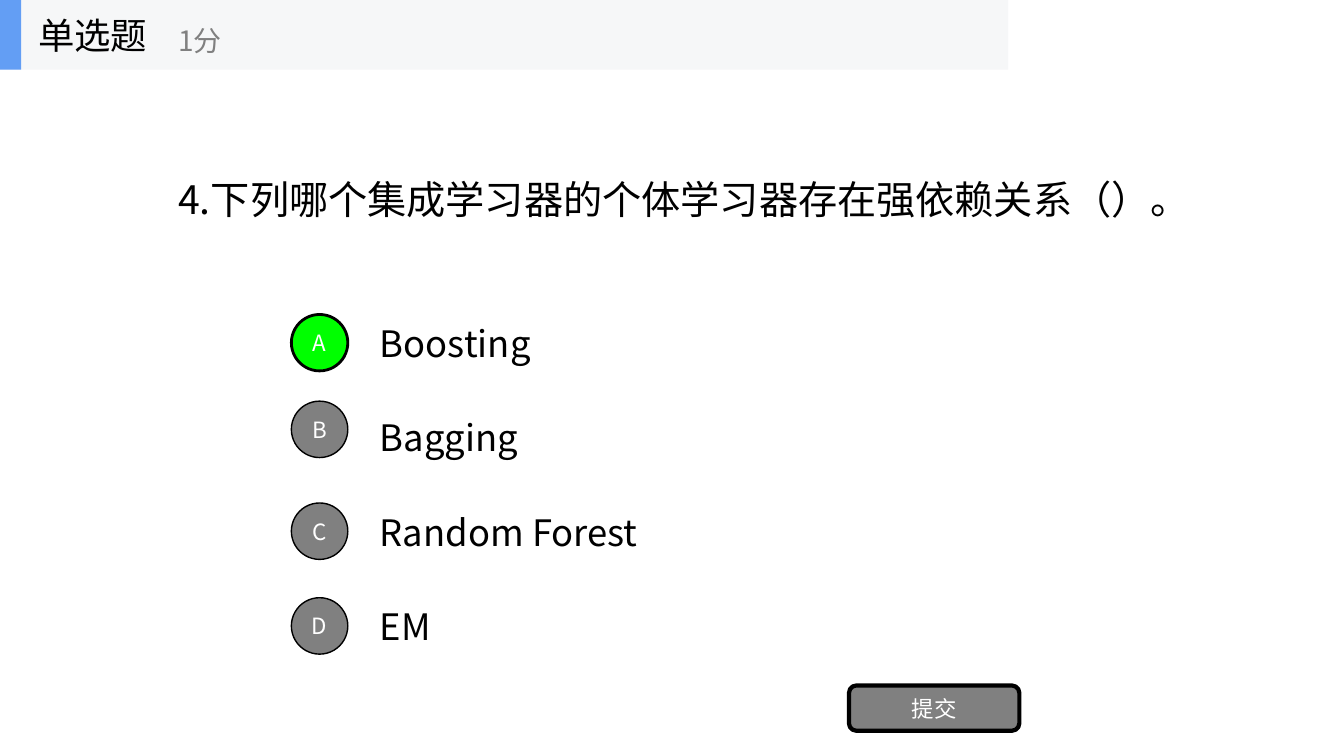
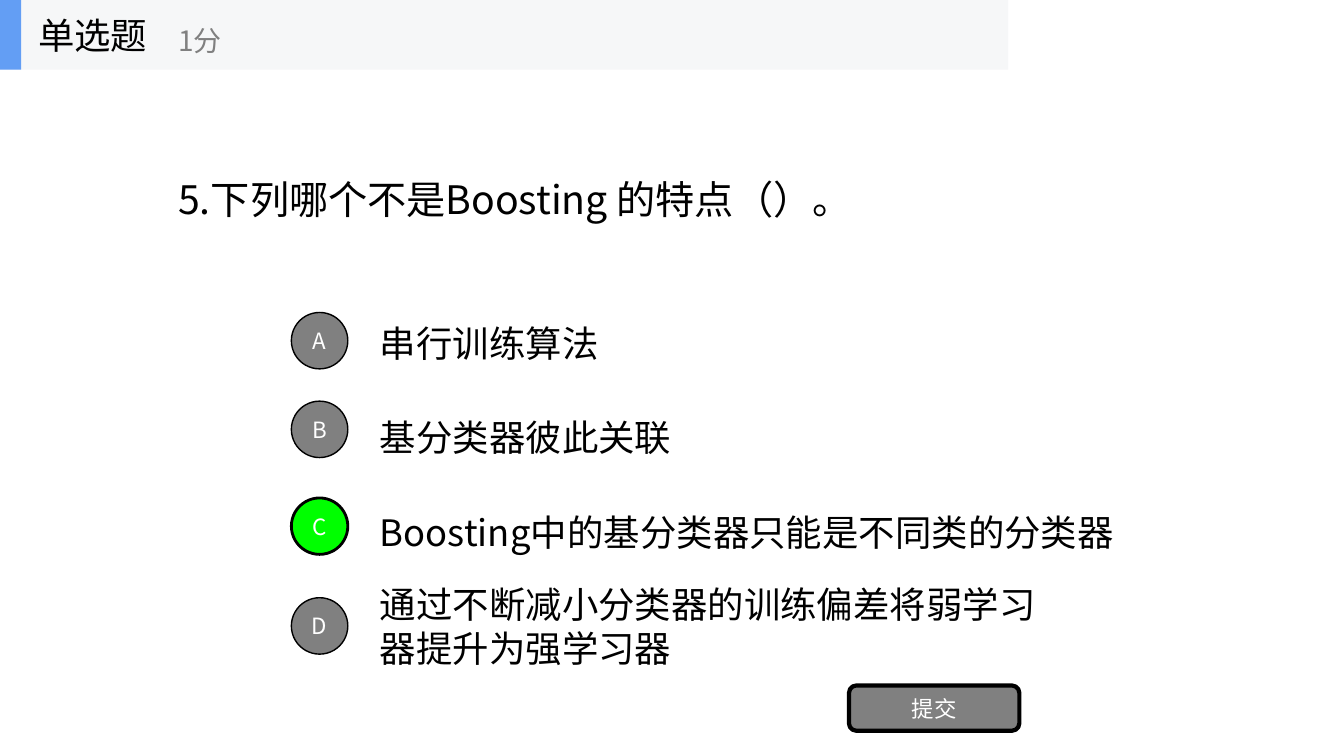
import pptx
import pptx.util
import pptx.dml.color
import pptx.enum.shapes
import pptx.enum.text
import pptx.oxml.ns
import lxml.etree

Inches = pptx.util.Inches
Pt = pptx.util.Pt
MSO_SHAPE = pptx.enum.shapes.MSO_SHAPE
PP_ALIGN = pptx.enum.text.PP_ALIGN

FONT = "Noto Sans CJK SC"
BLACK, WHITE, GREY, GREEN = "000000", "FFFFFF", "808080", "00FF00"
BAND, ACCENT = "F6F7F8", "639EF4"
QUESTION_SIZE, OPTION_SIZE, POINTS_SIZE, LABEL_SIZE = 28, 26, 20, 16
OPTION_TOP, OPTION_PITCH = 3.05, 2.81 / 3
CIRCLE_LEFT, CIRCLE_SIZE = 2.89, 0.56


def add_text(sp, text, size, color, align=PP_ALIGN.LEFT):
    tf = sp.text_frame
    frame_format = {"word_wrap": True, "vertical_anchor": pptx.enum.text.MSO_ANCHOR.MIDDLE}
    for name, value in frame_format.items():
        setattr(tf, name, value)
    p = tf.paragraphs[0]
    p.alignment = align
    r = p.add_run()
    r.text = text
    for name, value in {"name": FONT, "size": Pt(size)}.items():
        setattr(r.font, name, value)
    r.font.color.rgb = pptx.dml.color.RGBColor.from_string(color)
    ea = lxml.etree.SubElement(r.font._element, pptx.oxml.ns.qn("a:ea"))
    ea.set("typeface", FONT)


def add_box(shapes, kind, box, fill, line=0):
    sp = shapes.add_shape(kind, *map(Inches, box))
    sp.shadow.inherit = False
    sp.fill.solid()
    sp.fill.fore_color.rgb = pptx.dml.color.RGBColor.from_string(fill)
    if line:
        sp.line.color.rgb = pptx.dml.color.RGBColor.from_string(BLACK)
        sp.line.width = Pt(line)
    else:
        sp.line.fill.background()
    return sp


questions = [
    {
        "text": "4.下列哪个集成学习器的个体学习器存在强依赖关系（）。",
        "answer": "A",
        "options": [
            ("A", 3.12, 7, "Boosting"),
            ("B", 3.98, 7, "Bagging"),
            ("C", 4.99, 7, "Random Forest"),
            ("D", 5.93, 7, "EM"),
        ],
    },
    {
        "text": "5.下列哪个不是Boosting 的特点（）。",
        "answer": "C",
        "options": [
            ("A", 3.1, 7, "串行训练算法"),
            ("B", 3.98, 7, "基分类器彼此关联"),
            ("C", 4.94, 7.68, "Boosting中的基分类器只能是不同类的分类器"),
            ("D", 5.93, 7, "通过不断减小分类器的训练偏差将弱学习器提升为强学习器"),
        ],
    },
]

prs = pptx.Presentation()
prs.slide_width = Inches(13.33)
prs.slide_height = Inches(7.5)

for question in questions:
    s = prs.slides.add_slide(prs.slide_layouts[6])

    sp = s.shapes.add_textbox(*map(Inches, (1.67, 0.8, 10, 2.34)))
    add_text(sp, question["text"], QUESTION_SIZE, BLACK)

    for i, (letter, circle_top, width, text) in enumerate(question["options"]):
        top = OPTION_TOP + i * OPTION_PITCH
        sp = s.shapes.add_textbox(*map(Inches, (3.67, top, width, 0.7)))
        add_text(sp, text, OPTION_SIZE, BLACK)
        fill, line = (GREEN, 2) if letter == question["answer"] else (GREY, 1)
        circle = (CIRCLE_LEFT, circle_top, CIRCLE_SIZE, CIRCLE_SIZE)
        sp = add_box(s.shapes, MSO_SHAPE.OVAL, circle, fill, line)
        add_text(sp, letter, LABEL_SIZE, WHITE, PP_ALIGN.CENTER)

    sp = add_box(s.shapes, MSO_SHAPE.ROUNDED_RECTANGLE, (8.42, 6.8, 1.69, 0.45), GREY, 3)
    add_text(sp, "提交", LABEL_SIZE, WHITE, PP_ALIGN.CENTER)

    header = s.shapes.add_group_shape().shapes
    for width, fill in [(10, BAND), (0.21, ACCENT)]:
        add_box(header, MSO_SHAPE.RECTANGLE, (0, 0, width, 0.69), fill)
    for text, box, size, color in [
        ("单选题", (0.28, 0, 2.08, 0.69), OPTION_SIZE, BLACK),
        ("1分", (1.67, 0.12, 2.5, 0.56), POINTS_SIZE, GREY),
    ]:
        sp = header.add_textbox(*map(Inches, box))
        add_text(sp, text, size, color)

prs.save("out.pptx")
